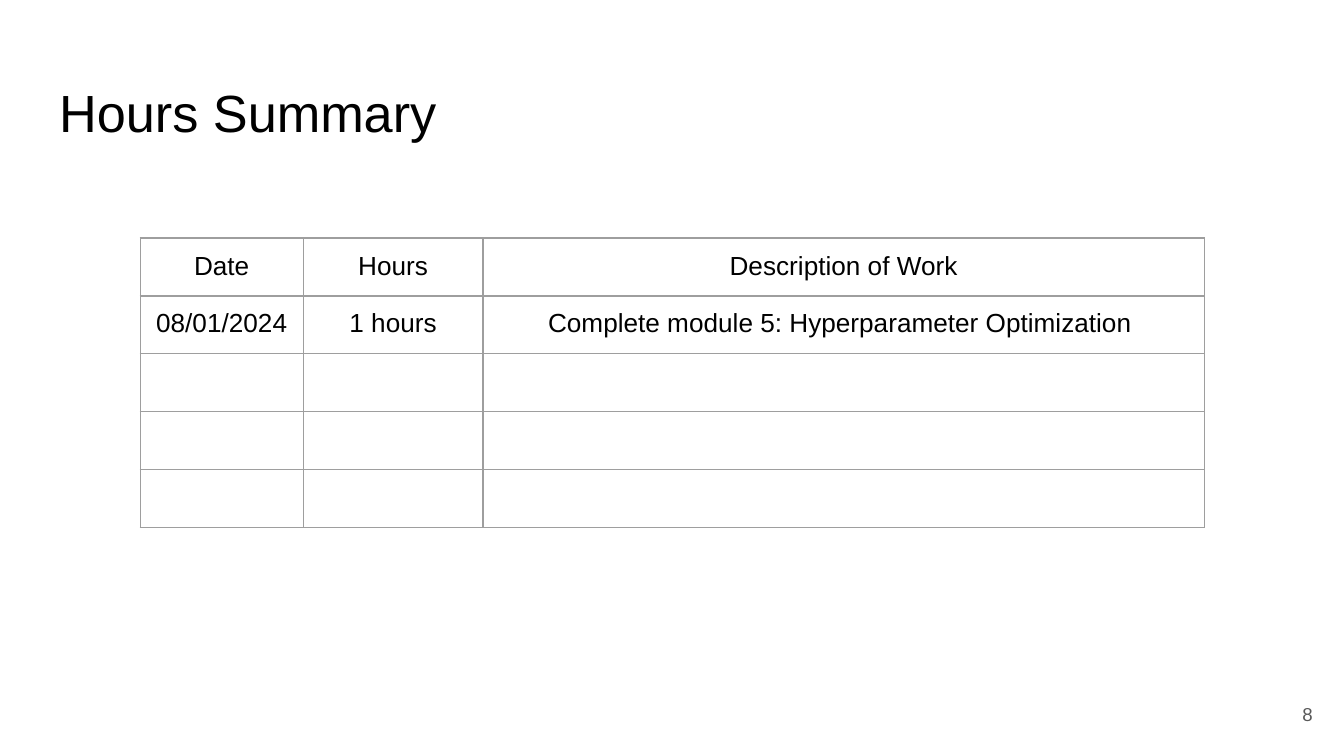
from lxml import etree
from pptx import Presentation
from pptx.dml.color import RGBColor
from pptx.enum.text import MSO_ANCHOR, PP_ALIGN
from pptx.oxml.ns import qn
from pptx.util import Cm, Pt

LEFT, CENTER, RIGHT = PP_ALIGN.LEFT, PP_ALIGN.CENTER, PP_ALIGN.RIGHT
TOP, MIDDLE = MSO_ANCHOR.TOP, MSO_ANCHOR.MIDDLE

FONT = "Arial"
BLACK, GREY, BORDER = "000000", "595959", "9E9E9E"
INSET = Cm(0.25)

# text, (left, top, width, height) in cm, size, colour, alignment, anchor
TEXTS = [
    ("Hours Summary", (0.87, 1.27, 23.67, 1.6), 28, BLACK, LEFT, TOP),
    ("8", (23.54, 12.95, 1.52, 1.09), 10, GREY, RIGHT, MIDDLE),
]

ROWS = [
    ("Date", "Hours", "Description of Work"),
    ("08/01/2024", "1 hours", "Complete module 5: Hyperparameter Optimization "),
    ("", "", ""),
    ("", "", ""),
    ("", "", ""),
]
TABLE_LEFT, TABLE_TOP = 2.65, 4.5
COL_WIDTHS = (3.08, 3.4, 13.63)
ROW_HEIGHT = 1.06
TABLE_SIZE = 14


def rgb(value):
    return RGBColor.from_string(value)


def set_attrs(obj, values):
    for name, value in values.items():
        setattr(obj, name, value)


def write(tf, text, size, color, align):
    p = tf.paragraphs[0]
    p.alignment = align
    if not text:
        # An empty cell keeps its row height through the end-of-paragraph size
        etree.SubElement(p._p, qn("a:endParaRPr"), sz=str(size * 100))
        return
    r = p.add_run()
    r.text = text
    set_attrs(r.font, {"name": FONT, "size": Pt(size)})
    r.font.color.rgb = rgb(color)


def add_borders(cell, color, width):
    tcPr = cell._tc.get_or_add_tcPr()
    for i, side in enumerate(("lnL", "lnR", "lnT", "lnB")):
        ln = etree.Element(qn(f"a:{side}"), w=str(Pt(width)))
        fill = etree.SubElement(ln, qn("a:solidFill"))
        etree.SubElement(fill, qn("a:srgbClr"), val=color)
        tcPr.insert(i, ln)


def add_text(s, text, box, size, color, align, anchor):
    tf = s.shapes.add_textbox(*map(Cm, box)).text_frame
    set_attrs(tf, {"word_wrap": True, "vertical_anchor": anchor,
                   "margin_left": INSET, "margin_right": INSET,
                   "margin_top": INSET, "margin_bottom": INSET})
    write(tf, text, size, color, align)


def add_hours_table(s):
    table = s.shapes.add_table(
        len(ROWS), len(COL_WIDTHS), Cm(TABLE_LEFT), Cm(TABLE_TOP),
        Cm(sum(COL_WIDTHS)), Cm(ROW_HEIGHT * len(ROWS))).table
    set_attrs(table, {"first_row": False, "horz_banding": False})
    for col, width in zip(table.columns, COL_WIDTHS):
        col.width = Cm(width)
    for row, texts in zip(table.rows, ROWS):
        row.height = Cm(ROW_HEIGHT)
        for cell, text in zip(row.cells, texts):
            set_attrs(cell, {"margin_left": INSET, "margin_right": INSET,
                             "margin_top": INSET, "margin_bottom": INSET})
            cell.fill.background()
            add_borders(cell, BORDER, 0.75)
            write(cell.text_frame, text, TABLE_SIZE, BLACK, CENTER)


def main():
    prs = Presentation()
    set_attrs(prs, {"slide_width": Cm(25.4), "slide_height": Cm(14.29)})
    s = prs.slides.add_slide(prs.slide_layouts[6])
    for item in TEXTS:
        add_text(s, *item)
    add_hours_table(s)
    prs.save("out.pptx")


if __name__ == "__main__":
    main()
